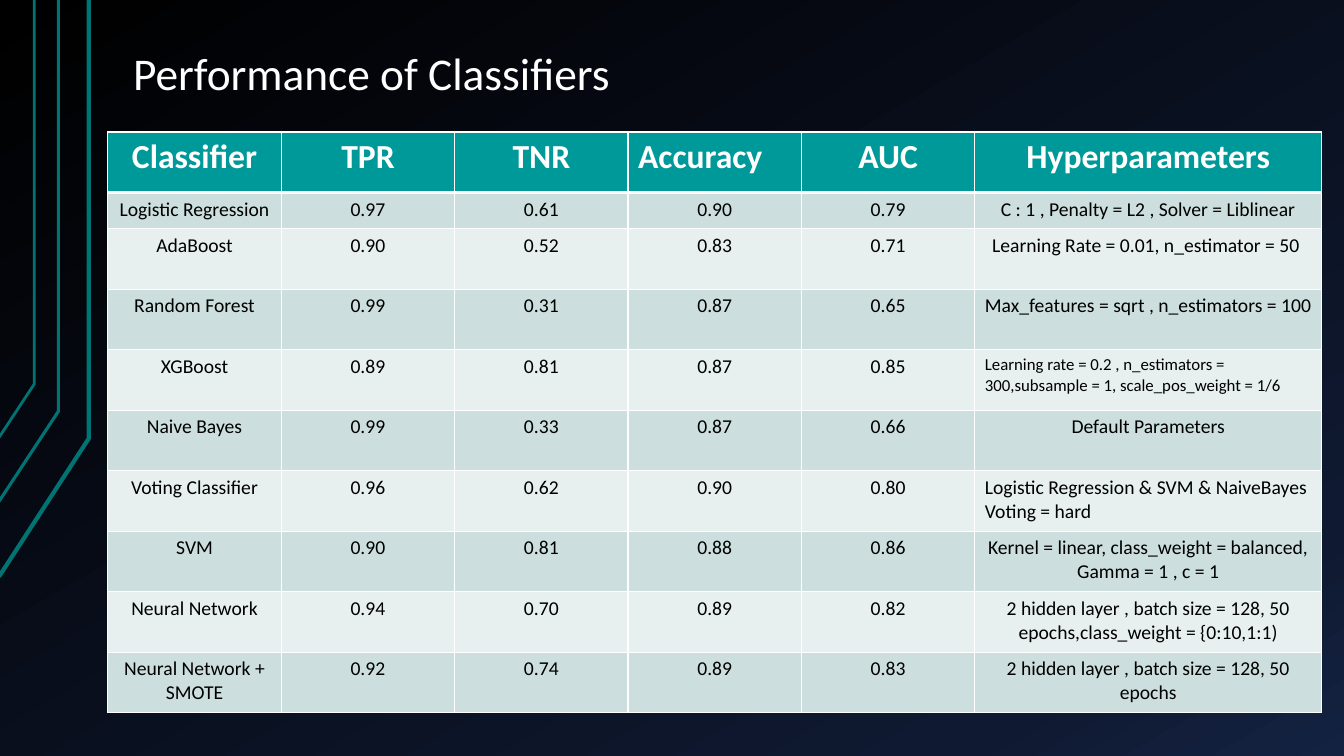
import copy
from dataclasses import dataclass

import lxml.etree
import pptx
import pptx.dml.color
import pptx.enum.text
import pptx.oxml.ns
import pptx.util
from pptx.util import Inches


@dataclass(frozen=True)
class Theme:
    font: str = "Calibri"
    white: str = "FFFFFF"
    black: str = "000000"
    header: str = "009999"
    bands: tuple = ("CCDEDE", "E7EFEF")
    accent: str = "007373"
    backdrop: tuple = ((0, "000000"), (0.85, "0F1931"), (1, "142242"))
    title_size: float = 32.4
    header_size: float = 24
    body_size: float = 14
    small_size: float = 12


THEME = Theme()
CENTER = pptx.enum.text.PP_ALIGN.CENTER
LEFT = pptx.enum.text.PP_ALIGN.LEFT

# Points and line width of each decorative line
ACCENT_LINES = [
    ([(-0.01, 5.72), (0.88, 4.35), (0.88, 0)], 3),
    ([(-0.02, 4.99), (0.58, 4.08), (0.58, 0)], 2.25),
    ([(-0.01, 4.34), (0.34, 3.81), (0.34, 0)], 2),
]

COLUMN_WIDTHS = [1.72] * 5 + [3.44]
ROW_HEIGHTS = [0.6, 0.36] + [0.6] * 8
RESULTS = [
    ("Classifier", "TPR", "TNR", "Accuracy", "AUC", "Hyperparameters"),
    ("Logistic Regression", "0.97", "0.61", "0.90", "0.79",
     "C : 1 , Penalty = L2 , Solver = Liblinear"),
    ("AdaBoost", "0.90", "0.52", "0.83", "0.71",
     "Learning Rate = 0.01, n_estimator = 50 "),
    ("Random Forest", "0.99", "0.31", "0.87", "0.65",
     "Max_features = sqrt , n_estimators = 100"),
    ("XGBoost", "0.89", "0.81", "0.87", "0.85",
     "Learning rate = 0.2 , n_estimators = 300,subsample = 1, scale_pos_weight = 1/6"),
    ("Naive Bayes", "0.99", "0.33", "0.87", "0.66", "Default Parameters"),
    ("Voting Classifier", "0.96", "0.62", "0.90", "0.80",
     "Logistic Regression & SVM & NaiveBayes\nVoting = hard"),
    ("SVM", "0.90", "0.81", "0.88", "0.86",
     "Kernel = linear, class_weight = balanced,\nGamma = 1 , c = 1"),
    ("Neural Network", "0.94", "0.70", "0.89", "0.82",
     "2 hidden layer , batch size = 128, 50 epochs,class_weight = {0:10,1:1)"),
    ("Neural Network +\nSMOTE", "0.92", "0.74", "0.89", "0.83",
     "2 hidden layer , batch size = 128, 50 epochs"),
]
LEFT_CELLS = {(0, 3), (3, 5), (4, 5), (6, 5)}
SMALL_CELLS = {(4, 5)}


def rgb(value):
    return pptx.dml.color.RGBColor.from_string(value)


def style_text(tf, size, color, align=LEFT, bold=False):
    for p in tf.paragraphs:
        p.alignment = align
        p.font.name = THEME.font
        p.font.size = pptx.util.Pt(size)
        p.font.bold = bold
        p.font.color.rgb = rgb(color)


def set_background(s):
    fill = s.background.fill
    fill.gradient()
    fill.gradient_angle = 300  # counter-clockwise
    first = fill.gradient_stops[0]._gs
    first.addnext(copy.deepcopy(first))
    for stop, (position, color) in zip(fill.gradient_stops, THEME.backdrop):
        stop.position = position
        stop.color.rgb = rgb(color)


def add_accent_line(s, points, width):
    start, *rest = [(Inches(x), Inches(y)) for x, y in points]
    builder = s.shapes.build_freeform(*start)
    builder.add_line_segments(rest, close=False)
    sp = builder.convert_to_shape()
    sp.shadow.inherit = False
    sp.fill.background()
    sp.line.color.rgb = rgb(THEME.accent)
    sp.line.width = pptx.util.Pt(width)


def add_title(s, text):
    sp = s.shapes.add_textbox(Inches(1.19), Inches(0.5), Inches(9.27), Inches(0.57))
    tf = sp.text_frame
    tf.word_wrap = True
    tf.vertical_anchor = pptx.enum.text.MSO_ANCHOR.BOTTOM
    tf.margin_left = tf.margin_right = Inches(0.13)
    tf.margin_top = tf.margin_bottom = Inches(0.07)
    tf.text = text
    tf.paragraphs[0].line_spacing = 0.9
    style_text(tf, THEME.title_size, THEME.white)


def set_borders(cell, top, bottom):
    tc_pr = cell._tc.get_or_add_tcPr()
    qn = pptx.oxml.ns.qn
    for side, width in (("L", 1), ("R", 1), ("T", top), ("B", bottom)):
        ln = lxml.etree.SubElement(tc_pr, qn("a:ln" + side), w=str(pptx.util.Pt(width)))
        solid = lxml.etree.SubElement(ln, qn("a:solidFill"))
        lxml.etree.SubElement(solid, qn("a:srgbClr"), val=THEME.white)


def format_cell(cell, row, col):
    is_header = row == 0
    # Borders come before the fill in the cell properties
    set_borders(cell, top=3 if row == 1 else 1, bottom=3 if is_header else 1)
    cell.fill.solid()
    cell.fill.fore_color.rgb = rgb(THEME.header if is_header else THEME.bands[(row - 1) % 2])
    size = THEME.small_size if (row, col) in SMALL_CELLS else THEME.body_size
    style_text(
        cell.text_frame,
        THEME.header_size if is_header else size,
        THEME.white if is_header else THEME.black,
        LEFT if (row, col) in LEFT_CELLS else CENTER,
        is_header,
    )


def add_results_table(s):
    frame = s.shapes.add_table(
        len(RESULTS), len(COLUMN_WIDTHS), Inches(1.07), Inches(1.31),
        Inches(sum(COLUMN_WIDTHS)), Inches(sum(ROW_HEIGHTS)))
    table = frame.table
    for column, width in zip(table.columns, COLUMN_WIDTHS):
        column.width = Inches(width)
    for row, height in zip(table.rows, ROW_HEIGHTS):
        row.height = Inches(height)
    for i, values in enumerate(RESULTS):
        for j, value in enumerate(values):
            cell = table.cell(i, j)
            cell.text = value
            format_cell(cell, i, j)


def main():
    prs = pptx.Presentation()
    prs.slide_width, prs.slide_height = Inches(13.33), Inches(7.5)
    s = prs.slides.add_slide(prs.slide_layouts[6])

    # Backdrop and decorative lines
    set_background(s)
    for points, width in ACCENT_LINES:
        add_accent_line(s, points, width)

    # Content
    add_title(s, "Performance of Classifiers")
    add_results_table(s)

    prs.save("out.pptx")


if __name__ == "__main__":
    main()
